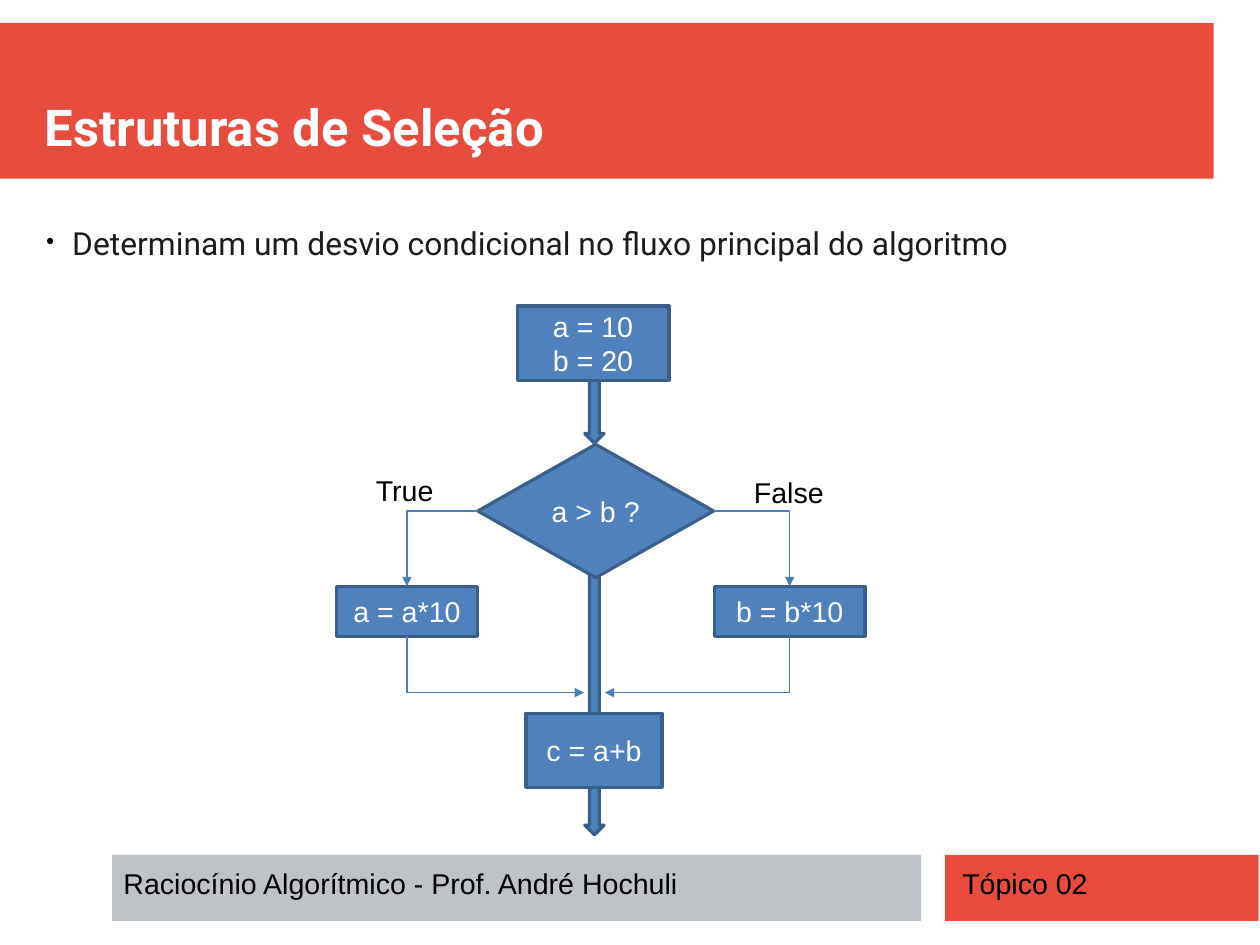
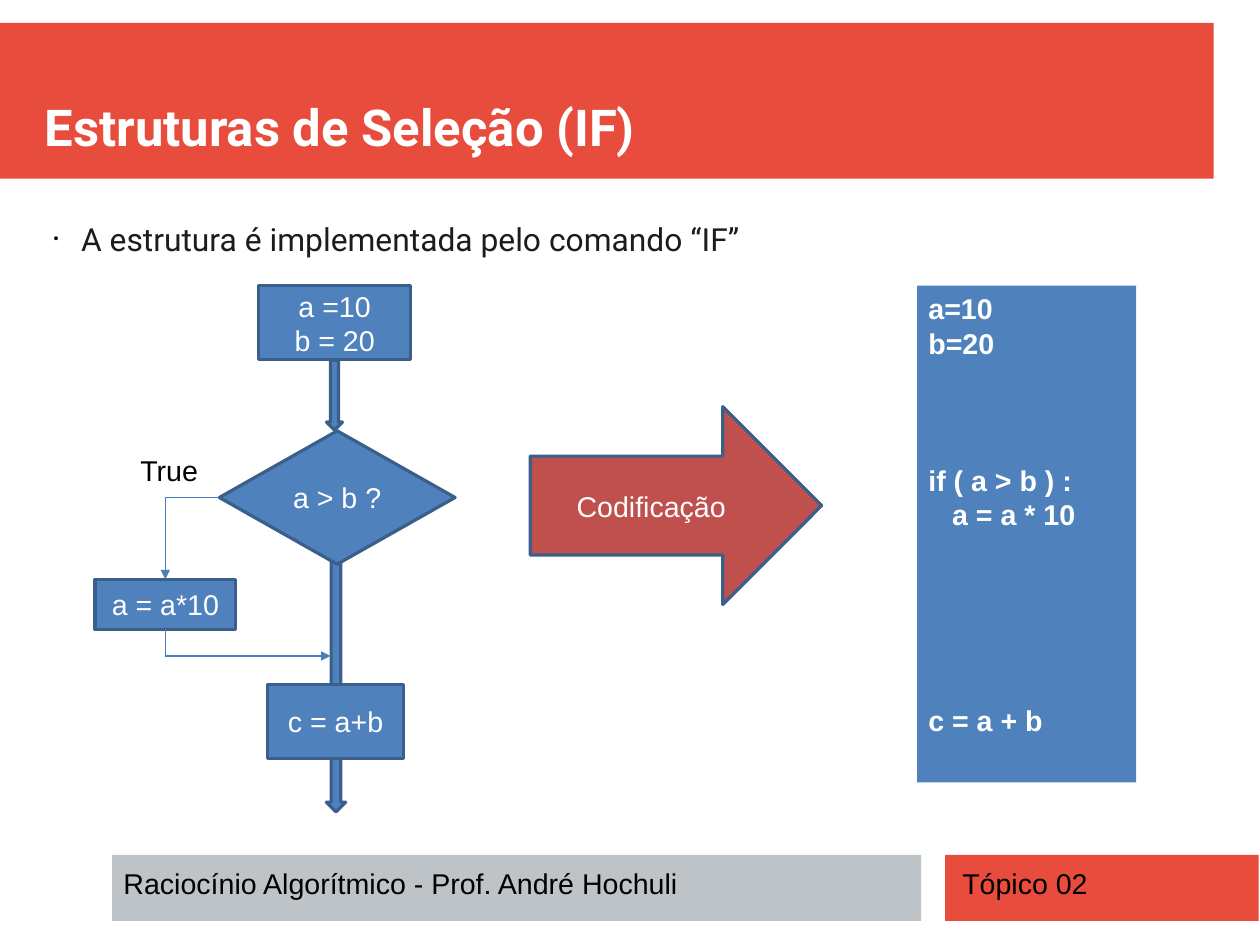
from lxml import etree
from pptx import Presentation
from pptx.dml.color import RGBColor
from pptx.enum.shapes import MSO_CONNECTOR, MSO_SHAPE
from pptx.enum.text import MSO_ANCHOR, PP_ALIGN
from pptx.oxml.ns import qn
from pptx.util import Pt

RECTANGLE, DIAMOND = MSO_SHAPE.RECTANGLE, MSO_SHAPE.DIAMOND
DOWN_ARROW, RIGHT_ARROW = MSO_SHAPE.DOWN_ARROW, MSO_SHAPE.RIGHT_ARROW
STRAIGHT, ELBOW = MSO_CONNECTOR.STRAIGHT, MSO_CONNECTOR.ELBOW
TOP, MIDDLE, BOTTOM = MSO_ANCHOR.TOP, MSO_ANCHOR.MIDDLE, MSO_ANCHOR.BOTTOM
LEFT, CENTER = PP_ALIGN.LEFT, PP_ALIGN.CENTER
SIDE_TOP, SIDE_LEFT, SIDE_BOTTOM, SIDE_RIGHT = range(4)

PAGE_SIZE = (793.75, 595.25)
COLORS = {
    "red": "E74C3C", "gray": "BDC3C7", "blue": "4F81BD", "outline": "3A5F8B",
    "connector": "4A7EBB", "brick": "C0504D", "white": "FFFFFF",
    "black": "000000", "ink": "1C1C1C",
}
STYLES = {
    "title": {"name": "Roboto", "size": Pt(32), "bold": True, "color": "white"},
    "body": {"name": "Roboto", "size": Pt(20), "color": "ink"},
    "label": {"name": "Arial", "size": Pt(18), "color": "black"},
    "node": {"name": "Arial", "size": Pt(18), "color": "white"},
    "code": {"name": "Arial", "size": Pt(18), "bold": True, "color": "white"},
}
INSETS = (7.2, 3.6, 7.2, 3.6)
NO_INSETS = (0, 0, 0, 0)
CODE_LINE = 21.6


def rgb(name):
    return RGBColor.from_string(COLORS[name])


def points(values):
    return [Pt(value) for value in values]


def write_text(shape, lines, style, align=LEFT, anchor=TOP, insets=INSETS):
    frame = shape.text_frame
    settings = {"word_wrap": True, "vertical_anchor": anchor}
    sides = ("margin_left", "margin_top", "margin_right", "margin_bottom")
    settings.update(zip(sides, points(insets)))
    for name, value in settings.items():
        setattr(frame, name, value)
    for index, line in enumerate(lines):
        para = frame.add_paragraph() if index else frame.paragraphs[0]
        para.alignment = align
        span = para.add_run()
        span.text = line
        for name, value in STYLES[style].items():
            if name == "color":
                span.font.color.rgb = rgb(value)
            else:
                setattr(span.font, name, value)
    return frame.paragraphs


def add_text(page, box, lines, style, **layout):
    return write_text(page.shapes.add_textbox(*points(box)), lines, style, **layout)


def add_block(page, kind, box, fill, outlined=False):
    shape = page.shapes.add_shape(kind, *points(box))
    shape.shadow.inherit = False
    shape.fill.solid()
    shape.fill.fore_color.rgb = rgb(fill)
    if outlined:
        shape.line.color.rgb = rgb("outline")
        shape.line.width = Pt(2)
    else:
        shape.line.fill.background()
    return shape


def add_node(page, box, lines, kind=RECTANGLE, fill="blue"):
    shape = add_block(page, kind, box, fill, outlined=True)
    write_text(shape, lines, "node", align=CENTER, anchor=MIDDLE)
    return shape


def add_line(page, kind, start, end, arrow):
    line = page.shapes.add_connector(kind, *points(start + end))
    line.line.color.rgb = rgb("connector")
    line.line.width = Pt(0.75)
    if arrow:
        etree.SubElement(line.line._get_or_add_ln(), qn("a:tailEnd"), type="triangle")
    etree.SubElement(line._element.spPr, qn("a:effectLst"))
    return line


def add_branch(page, origin, decision, branch):
    """Draw one outcome of the decision and its way back to the main flow."""
    left, top = origin

    def place(x, y, width, height):
        return left + x, top + y, width, height

    x, y, width, height = place(*branch["box"])
    node = add_node(page, (x, y, width, height), [branch["text"]])
    middle = x + width / 2

    fork = add_line(page, ELBOW, (left, top), (middle, y), arrow=True)
    fork._element.spPr.find(qn("a:prstGeom")).set("prst", "bentConnector2")
    fork.begin_connect(decision, branch["side"])
    fork.end_connect(node, SIDE_TOP)

    merge_x, merge_y = branch["merge"]
    corner = (middle, top + merge_y)
    drop = add_line(page, STRAIGHT, (middle, y + height), corner, arrow=False)
    drop.begin_connect(node, SIDE_BOTTOM)
    add_line(page, STRAIGHT, corner, (left + merge_x, top + merge_y), arrow=True)
    add_text(page, place(*branch["label_box"]), [branch["label"]], "label", align=CENTER)


def add_flow(page, origin, flow):
    """Draw a flow chart from the left of its diamond and the top of its first box."""
    left, top = origin

    def place(x, y, width, height):
        return left + x, top + y, width, height

    decision_top = flow["decision_top"]
    for arrow_box in (flow["entry"], (67.4, decision_top + 80, 12.2, flow["stem"])):
        add_block(page, DOWN_ARROW, place(*arrow_box), "blue", outlined=True)
    add_node(page, place(24.8, 0, 95.6, 46.8), flow["start"])
    add_node(page, place(30.3, flow["end_top"], 85.8, 46.8), ["c = a+b"])
    decision = add_node(page, place(0, decision_top, 148.5, 84), ["a > b ?"], kind=DIAMOND)
    for branch in flow["branches"]:
        add_branch(page, origin, decision, branch)


def add_bullet(page, box, text, bullet, indent, spacing):
    para = add_text(page, box, [text], "body", insets=NO_INSETS)[0]
    props = para._p.get_or_add_pPr()
    props.set("marL", str(Pt(17.3)))
    props.set("indent", str(Pt(indent)))
    color = etree.SubElement(props, qn("a:buClr"))
    etree.SubElement(color, qn("a:srgbClr"), val=COLORS["black"])
    etree.SubElement(props, qn("a:buSzPct"), val="45000")
    etree.SubElement(props, qn("a:buFont"), typeface="Arial")
    etree.SubElement(props, qn("a:buChar"), char=bullet)
    for name, value in spacing.items():
        setattr(para, name, value)


def add_code(page, box, groups):
    """Write groups of code lines; each group is (blank lines above, lines)."""
    panel = add_block(page, RECTANGLE, box, "blue")
    lines = [line for _, group in groups for line in group]
    paras = write_text(panel, lines, "code")
    index = 0
    for gap, group in groups:
        if gap:
            paras[index].space_before = Pt(gap * CODE_LINE)
        index += len(group)


def add_page(deck, title):
    page = deck.slides.add_slide(deck.slide_layouts[6])
    add_block(page, RECTANGLE, (0, 14.4, 764.6, 98.2), "red")
    add_text(page, (28.2, 28.2, 736, 70.3), [title], "title", anchor=BOTTOM, insets=NO_INSETS)
    footers = (
        (70.7, 509.6, "gray", 7.2, "Raciocínio Algorítmico - Prof. André Hochuli"),
        (595.4, 197.5, "red", 10.8, "Tópico 02"),
    )
    for left, width, fill, inset, text in footers:
        band = add_block(page, RECTANGLE, (left, 538.4, width, 41.7), fill)
        write_text(band, [text], "label", insets=(inset, 7.2, 7.2, 3.6))
    return page


def add_selection_page(deck):
    page = add_page(deck, "Estruturas de Seleção")
    add_bullet(page, (28.2, 149.4, 722, 368),
               "Determinam um desvio condicional no fluxo principal do algoritmo",
               "●", -16.6, {"line_spacing": 0.6, "space_after": Pt(5)})
    add_flow(page, (301, 192.7), {
        "start": ["a = 10", "b = 20"], "entry": (67.4, 34, 12.2, 52.5),
        "decision_top": 87.2, "stem": 166, "end_top": 256.5,
        "branches": [
            {"side": SIDE_LEFT, "text": "a = a*10", "box": (-88.9, 176.6, 88.6, 31.5),
             "merge": (67, 243.6), "label": "True", "label_box": (-74.8, 101.5, 57.5, 28)},
            {"side": SIDE_RIGHT, "text": "b = b*10", "box": (149, 176.6, 95, 31.5),
             "merge": (80, 243.6), "label": "False", "label_box": (164.2, 103, 63.5, 28)},
        ],
    })


def add_if_page(deck):
    page = add_page(deck, "Estruturas de Seleção (IF)")
    add_bullet(page, (33.8, 138.2, 722, 374),
               "A estrutura é implementada pelo comando “IF”",
               "•", -21.6, {"space_after": Pt(11.4)})
    add_flow(page, (138.2, 179.9), {
        "start": ["a =10", "b = 20"], "entry": (67.5, 47, 10, 44),
        "decision_top": 91.5, "stem": 160, "end_top": 251.2,
        "branches": [
            {"side": SIDE_LEFT, "text": "a = a*10", "box": (-78.3, 185, 88.6, 31.5),
             "merge": (70, 233.3), "label": "True", "label_box": (-60.4, 102, 57.5, 28)},
        ],
    })
    add_node(page, (334, 256.2, 183.6, 124.6), ["Codificação"], kind=RIGHT_ARROW, fill="brick")
    add_code(page, (577.8, 179.9, 138, 313), [
        (0, ["a=10", "b=20"]),
        (3, ["if ( a > b ) :", "   a = a * 10"]),
        (5, ["c = a + b"]),
    ])


def main():
    deck = Presentation()
    deck.slide_width, deck.slide_height = points(PAGE_SIZE)
    add_selection_page(deck)
    add_if_page(deck)
    deck.save("out.pptx")


if __name__ == "__main__":
    main()
